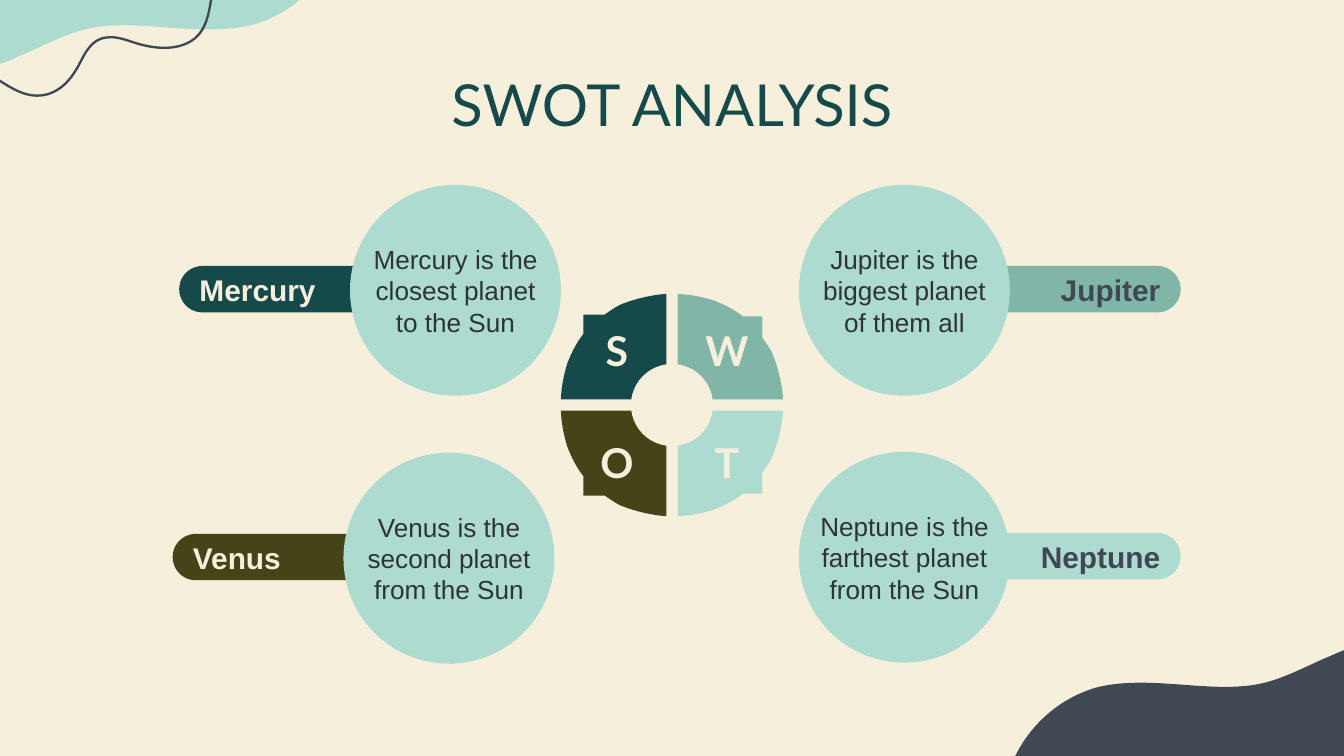
from dataclasses import dataclass

from pptx import Presentation
from pptx.dml.color import RGBColor
from pptx.enum.shapes import MSO_SHAPE
from pptx.enum.text import MSO_ANCHOR, MSO_AUTO_SIZE, PP_ALIGN
from pptx.oxml.ns import qn
from pptx.oxml.xmlchemy import OxmlElement
from pptx.util import Pt

ROUNDED = MSO_SHAPE.ROUNDED_RECTANGLE
OVAL = MSO_SHAPE.OVAL
MIDDLE = MSO_ANCHOR.MIDDLE
NO_AUTOFIT = MSO_AUTO_SIZE.NONE
LEFT, CENTER, RIGHT = PP_ALIGN.LEFT, PP_ALIGN.CENTER, PP_ALIGN.RIGHT


@dataclass(frozen=True)
class Theme:
    """Colours, fonts and type sizes of the deck."""
    cream: RGBColor = RGBColor.from_string("F6EFDC")
    mint: RGBColor = RGBColor.from_string("ADDBD0")
    sage: RGBColor = RGBColor.from_string("81B5A8")
    teal: RGBColor = RGBColor.from_string("164A4A")
    olive: RGBColor = RGBColor.from_string("454318")
    slate: RGBColor = RGBColor.from_string("3F4853")
    ink: RGBColor = RGBColor.from_string("2E3338")
    heading_font: str = "Lato"
    body_font: str = "Arial"
    title_size: int = 62
    letter_size: int = 44
    label_size: int = 32
    body_size: int = 28


THEME = Theme()

BLOB = [
    (-201, -53),
    (-201, -31, -199, -9, -190, 12), (-177, 42, -149, 65, -117, 76),
    (-114, 76, -110, 78, -107, 78), (-71, 87, -33, 82, 1, 68),
    (8, 66, 14, 63, 21, 60), (45, 50, 68, 37, 93, 31),
    (124, 24, 156, 28, 188, 30), (215, 32, 243, 33, 269, 27),
    (310, 16, 344, -14, 361, -53),
]
WAVE = [
    (277, -76),
    (274, -74, 271, -71, 267, -69), (250, -55, 235, -36, 229, -14),
    (224, 5, 225, 27, 209, 41), (194, 53, 173, 53, 154, 48.5),
    (142, 46, 129, 39, 117, 40), (103, 40, 95, 50, 89, 61),
    (81, 77, 72, 93, 54, 100), (34, 107, 18, 98, 2, 88),
    (-20, 74, -44, 67, -69, 76), (-92, 84, -109, 101, -118, 124),
]
QUARTER = [
    (0, 113),
    (3, 113, 6, 112.5, 8.6, 112.3), (24.5, 110, 39, 106, 50.5, 101),
    (56, 98, 61, 94.5, 66, 91), (89, 91), (89, 70),
    (97, 60, 102, 49, 106, 39), (113, 17, 113, 0, 113, 0), (0, 0),
]


def add_outline(slide, segments, place, close=True):
    """Build a freeform of straight and cubic segments, each point moved by place."""
    points = [
        tuple(map(Pt, place(*pair)))
        for segment in segments for pair in zip(segment[::2], segment[1::2])
    ]
    builder = slide.shapes.build_freeform(*points[0], scale=1.0)
    builder.add_line_segments(points[1:], close=close)
    shape = builder.convert_to_shape()
    shape.shadow.inherit = False
    lines = iter(list(shape.element.iter(qn("a:lnTo"))))
    for segment in segments[1:]:
        group = [next(lines) for _ in segment[::2]]
        if len(group) == 3:
            curve = OxmlElement("a:cubicBezTo")
            group[0].addprevious(curve)
            for line in group:
                curve.append(line[0])
                line.getparent().remove(line)
    return shape


def paint(shape, color):
    """Give a shape a plain fill without line or shadow."""
    shape.shadow.inherit = False
    shape.fill.solid()
    shape.fill.fore_color.rgb = color
    shape.line.fill.background()


def add_preset(slide, kind, box, color):
    """Add a plain preset shape in the box."""
    shape = slide.shapes.add_shape(kind, *map(Pt, box))
    paint(shape, color)
    return shape


def write(shape, text, font, size, color, align=CENTER, bold=False, inset=0):
    """Set the shape's single paragraph."""
    frame = shape.text_frame
    frame.word_wrap = True
    frame.auto_size = NO_AUTOFIT
    frame.vertical_anchor = MIDDLE
    frame.margin_left = frame.margin_right = Pt(inset)
    frame.margin_top = frame.margin_bottom = Pt(inset)
    paragraph = frame.paragraphs[0]
    paragraph.alignment = align
    run = paragraph.add_run()
    run.text = text
    run.font.name = font
    run.font.size = Pt(size)
    run.font.bold = bold
    run.font.color.rgb = color


def add_decoration(slide, box):
    """Place the two corner blobs and the wavy line."""
    left, top, width, height = box

    def upright(x, y):
        """Measure from the top left corner."""
        return left + x, top + y

    def turned(x, y):
        """Measure backwards from the bottom right corner."""
        return left + width + 6 - x, top + height - 47 - y

    paint(add_outline(slide, BLOB, upright), THEME.mint)
    paint(add_outline(slide, BLOB, turned), THEME.slate)
    wave = add_outline(slide, WAVE, upright, close=False)
    wave.fill.background()
    wave.line.color.rgb = THEME.slate
    wave.line.width = Pt(2.5)


def add_title(slide, box, text):
    """Move and fill the title placeholder."""
    title = slide.shapes.title
    title.left, title.top, title.width, title.height = map(Pt, box)
    write(title, text, THEME.heading_font, THEME.title_size, THEME.teal)


def add_quarter(slide, corner, side_x, side_y, letter, color):
    """Draw one lettered quarter outwards from its inner corner."""
    corner_x, corner_y = corner

    def outward(x, y):
        """Mirror the profile into this quarter."""
        across, along = (y, x) if side_x > 0 else (x, y)
        return corner_x + side_x * across, corner_y + side_y * along

    paint(add_outline(slide, QUARTER, outward), color)
    letter_box = (corner_x + side_x * 53 - 40.5, corner_y + side_y * 54 - 35, 81, 73)
    label = slide.shapes.add_textbox(*map(Pt, letter_box))
    write(label, letter, THEME.heading_font, THEME.letter_size, THEME.cream,
          bold=True, inset=14.4)


def add_wheel(slide, box, quarters):
    """Draw the four quarters around a round hub."""
    left, top, width, height = box
    center_x, center_y = left + width / 2, top + height / 2
    half_gap, hub = 6, 88
    for letter, color, side_x, side_y in quarters:
        corner = (center_x + side_x * half_gap, center_y + side_y * half_gap)
        add_quarter(slide, corner, side_x, side_y, letter, color)
    add_preset(slide, OVAL, (center_x - hub / 2, center_y - hub / 2, hub, hub), THEME.cream)


def add_card(slide, box, name, text, pill_color, name_color, align):
    """Place a named pill with a text circle over its inner end."""
    left, top, width, height = box
    pill_width, pill_height, text_width = 253.4, 49.7, 188.6
    on_left = align == LEFT
    pill_left = left if on_left else left + width - pill_width
    circle_left = left + width - height if on_left else left
    pill = add_preset(slide, ROUNDED, (pill_left, top + 87, pill_width, pill_height), pill_color)
    pill.adjustments[0] = 0.5
    write(pill, name, THEME.body_font, THEME.label_size, name_color, align, True, 14.4)
    add_preset(slide, OVAL, (circle_left, top, height, height), THEME.mint)
    text_left = circle_left + (height - text_width) / 2
    body = slide.shapes.add_textbox(*map(Pt, (text_left, top, text_width, height)))
    write(body, text, THEME.body_font, THEME.body_size, THEME.ink)


def main():
    """Build the slide and save it."""
    presentation = Presentation()
    presentation.slide_width, presentation.slide_height = Pt(1440), Pt(810)
    slide = presentation.slides.add_slide(presentation.slide_layouts[5])
    slide.background.fill.solid()
    slide.background.fill.fore_color.rgb = THEME.cream
    add_decoration(slide, (0, 0, 1440, 810))
    add_title(slide, (112, 75, 1216, 71), "SWOT ANALYSIS")
    add_wheel(slide, (601, 315, 238, 238), [
        ("S", THEME.teal, -1, -1), ("W", THEME.sage, 1, -1),
        ("O", THEME.olive, -1, 1), ("T", THEME.mint, 1, 1),
    ])
    cards = [
        (192, 198, "Mercury", "Mercury is the closest planet to the Sun",
         THEME.teal, THEME.cream, LEFT),
        (185, 485, "Venus", "Venus is the second planet from the Sun",
         THEME.olive, THEME.cream, LEFT),
        (856, 198, "Jupiter", "Jupiter is the biggest planet of them all",
         THEME.sage, THEME.slate, RIGHT),
        (856, 484, "Neptune", "Neptune is the farthest planet from the Sun",
         THEME.mint, THEME.slate, RIGHT),
    ]
    for left, top, *content in cards:
        add_card(slide, (left, top, 409, 226), *content)
    presentation.save("out.pptx")


if __name__ == "__main__":
    main()
